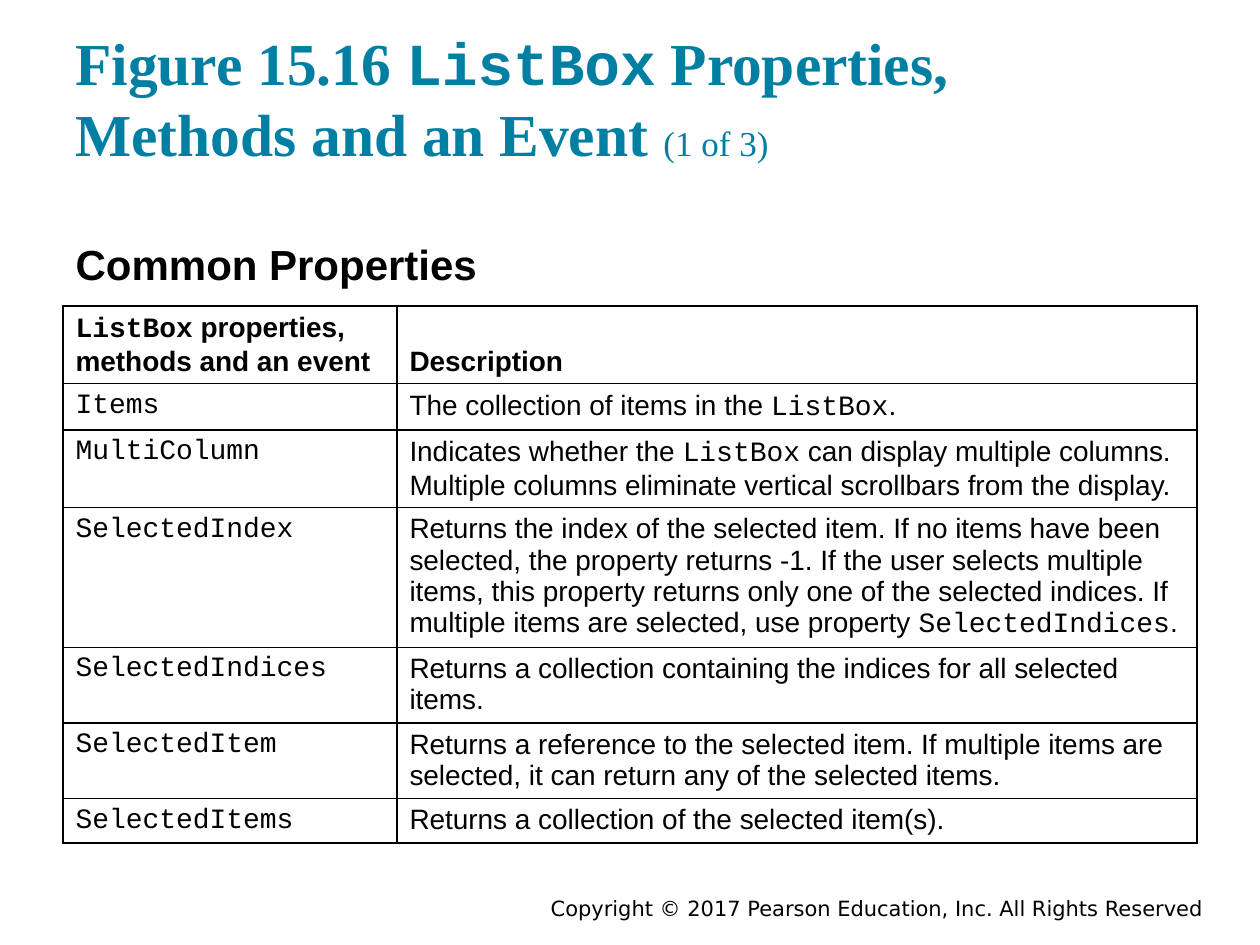
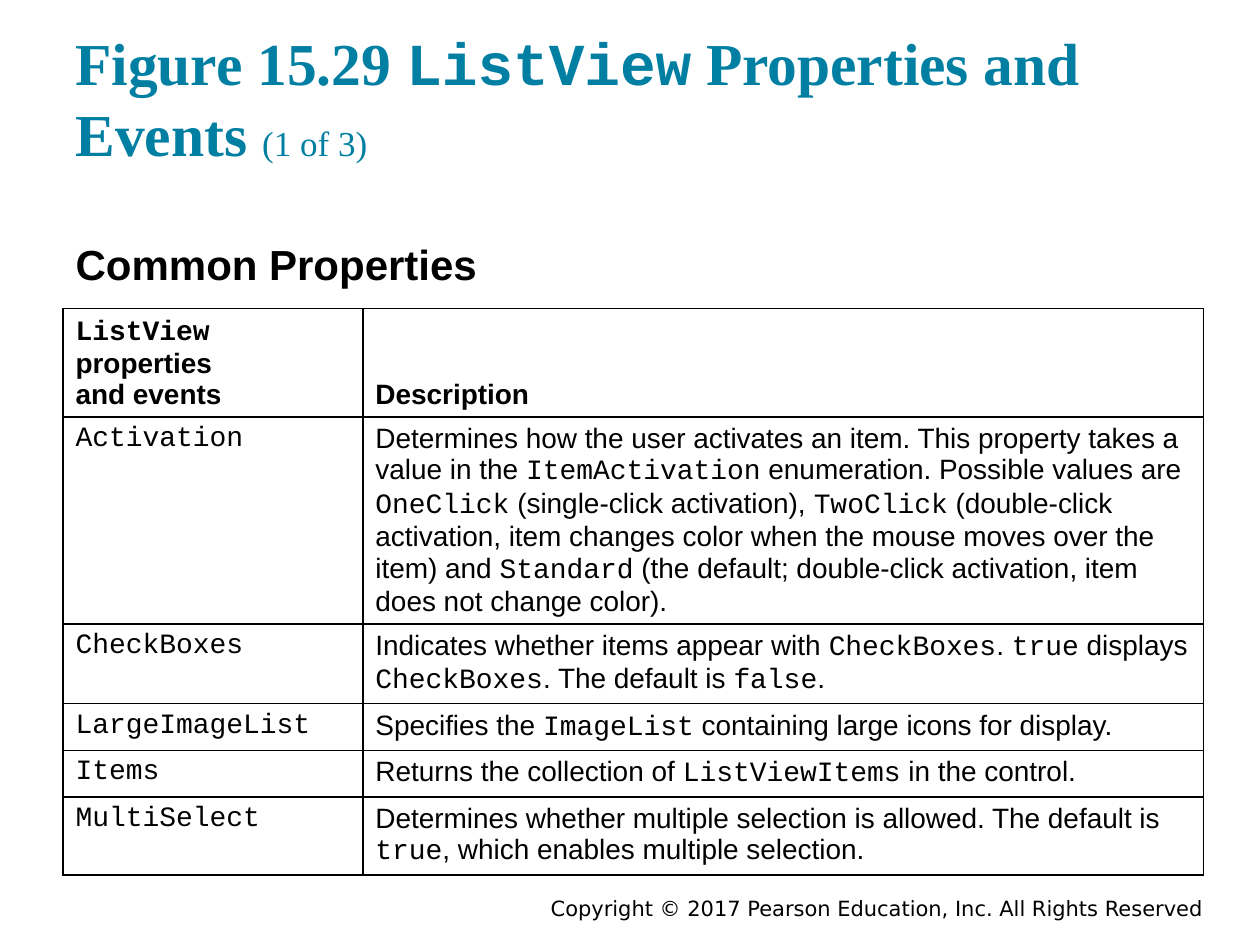
import lxml.etree
import pptx
import pptx.dml.color
import pptx.enum.text
import pptx.oxml.ns
import pptx.util

Inches = pptx.util.Inches
Pt = pptx.util.Pt
qn = pptx.oxml.ns.qn
Anchor = pptx.enum.text.MSO_ANCHOR
Align = pptx.enum.text.PP_ALIGN

COLORS = {"title": "007FA3", "text": "000000", "cell": "FFFFFF", "border": "000000"}
FONTS = {"title": "Times New Roman", "body": "Arial", "code": "Courier New", "footer": "DejaVu Sans"}
COPYRIGHT = "Copyright © 2017 Pearson Education, Inc. All Rights Reserved"

LISTBOX = {
    "title": "Figure 15.16 `ListBox` Properties, Methods and an Event ",
    "box": (0.5, 2.43),
    "body_height": 0.47,
    "columns": [2.65, 6.35],
    "heights": [0.61, 0.37, 0.61, 1.11, 0.6, 0.6, 0.35],
    "rows": [
        ("`ListBox` properties,\nmethods and an event", "Description"),
        ("`Items`", "The collection of items in the `ListBox`."),
        ("`MultiColumn`", "Indicates whether the `ListBox` can display multiple columns. "
         "Multiple columns eliminate vertical scrollbars from the display."),
        ("`SelectedIndex`", "Returns the index of the selected item. If no items have been selected, "
         "the property returns -1. If the user selects multiple items, this property returns only one "
         "of the selected indices. If multiple items are selected, use property `SelectedIndices`."),
        ("`SelectedIndices`", "Returns a collection containing the indices for all selected items."),
        ("`SelectedItem`", "Returns a reference to the selected item. If multiple items are selected, "
         "it can return any of the selected items."),
        ("`SelectedItems`", "Returns a collection of the selected item(s)."),
    ],
}

LISTVIEW = {
    "title": "Figure 15.29 `ListView` Properties and Events ",
    "box": (0.5, 2.45),
    "body_height": 0.58,
    "columns": [2.38, 6.67],
    "heights": [0.86, 1.64, 0.63, 0.37, 0.37, 0.62],
    "rows": [
        ("`ListView` properties\nand events", "Description"),
        ("`Activation`", "Determines how the user activates an item. This property takes a value in the "
         "`ItemActivation` enumeration. Possible values are `OneClick` (single-click activation), "
         "`TwoClick` (double-click activation, item changes color when the mouse moves over the item) "
         "and `Standard` (the default; double-click activation, item does not change color)."),
        ("`CheckBoxes`", "Indicates whether items appear with `CheckBoxes`. `true` displays "
         "`CheckBoxes`. The default is `false`."),
        ("`LargeImageList`", "Specifies the `ImageList` containing large icons for display."),
        ("`Items`", "Returns the collection of `ListViewItems` in the control."),
        ("`MultiSelect`", "Determines whether multiple selection is allowed. The default is `true`, "
         "which enables multiple selection."),
    ],
}


def rgb(name):
    return pptx.dml.color.RGBColor.from_string(COLORS[name])


def add_run(p, text, font, size, color="text", bold=False):
    r = p.add_run()
    r.text = text
    r.font.name = FONTS[font]
    r.font.size = Pt(size)
    r.font.bold = bold
    r.font.color.rgb = rgb(color)


def add_marked_text(p, text, font, size, color="text", bold=False):
    for i, part in enumerate(text.split("`")):
        if part:
            add_run(p, part, "code" if i % 2 else font, size, color, bold)


def place(sp, left, top, width, height):
    sp.left, sp.top, sp.width, sp.height = map(Inches, (left, top, width, height))


def prepare_frame(sp, anchor, inset):
    tf = sp.text_frame
    tf.word_wrap = True
    tf.auto_size = pptx.enum.text.MSO_AUTO_SIZE.NONE
    tf.vertical_anchor = anchor
    tf.margin_left = tf.margin_right = Inches(0.1)
    tf.margin_top = tf.margin_bottom = Inches(inset)
    return tf.paragraphs[0]


def fill_title(s, text):
    sp = s.shapes.title
    place(sp, 0.5, 0.24, 9, 1.2)
    p = prepare_frame(sp, Anchor.BOTTOM, 0.1)
    p.alignment = Align.LEFT
    add_marked_text(p, text, "title", 34, "title", True)
    add_run(p, "(1 of 3)", "title", 20, "title")


def fill_subheading(s, text, height):
    sp = s.placeholders[1]
    place(sp, 0.5, 1.75, 9, height)
    p = prepare_frame(sp, Anchor.TOP, 0.1)
    p.line_spacing = 1.1
    p.space_before = Pt(0)
    pPr = p._p.get_or_add_pPr()
    pPr.set("marL", "0")
    pPr.set("indent", "0")
    lxml.etree.SubElement(pPr, qn("a:buNone"))
    add_run(p, text, "body", 24, bold=True)


def add_footer(s):
    sp = s.shapes.add_textbox(Inches(3), Inches(7.08), Inches(6.65), Inches(0.25))
    p = prepare_frame(sp, Anchor.MIDDLE, 0.05)
    p.alignment = Align.RIGHT
    add_run(p, COPYRIGHT, "footer", 12)


def set_borders(cell):
    tcPr = cell._tc.get_or_add_tcPr()
    for side in ("a:lnL", "a:lnR", "a:lnT", "a:lnB"):
        ln = lxml.etree.SubElement(tcPr, qn(side), w=str(Pt(1)))
        fill = lxml.etree.SubElement(ln, qn("a:solidFill"))
        lxml.etree.SubElement(fill, qn("a:srgbClr"), val=COLORS["border"])


def fill_cell(cell, text, header):
    set_borders(cell)
    cell.fill.solid()
    cell.fill.fore_color.rgb = rgb("cell")
    cell.vertical_anchor = Anchor.BOTTOM if header else Anchor.TOP
    tf = cell.text_frame
    for i, line in enumerate(text.split("\n")):
        p = tf.add_paragraph() if i else tf.paragraphs[0]
        add_marked_text(p, line, "body", 16, bold=header)


def add_property_table(s, box, columns, heights, rows):
    left, top = box
    table = s.shapes.add_table(len(rows), len(columns), Inches(left), Inches(top),
                               Inches(sum(columns)), Inches(sum(heights))).table
    table.first_row = table.horz_banding = False
    for column, width in zip(table.columns, columns):
        column.width = Inches(width)
    for i, (row, height) in enumerate(zip(table.rows, heights)):
        row.height = Inches(height)
        for cell, text in zip(row.cells, rows[i]):
            fill_cell(cell, text, header=i == 0)


def add_figure_slide(prs, figure):
    s = prs.slides.add_slide(prs.slide_layouts[1])
    add_footer(s)
    fill_title(s, figure["title"])
    fill_subheading(s, "Common Properties", figure["body_height"])
    add_property_table(s, figure["box"], figure["columns"], figure["heights"], figure["rows"])


def main():
    prs = pptx.Presentation()
    prs.slide_width, prs.slide_height = Inches(10), Inches(7.5)
    for figure in (LISTBOX, LISTVIEW):
        add_figure_slide(prs, figure)
    prs.save("out.pptx")


if __name__ == "__main__":
    main()
